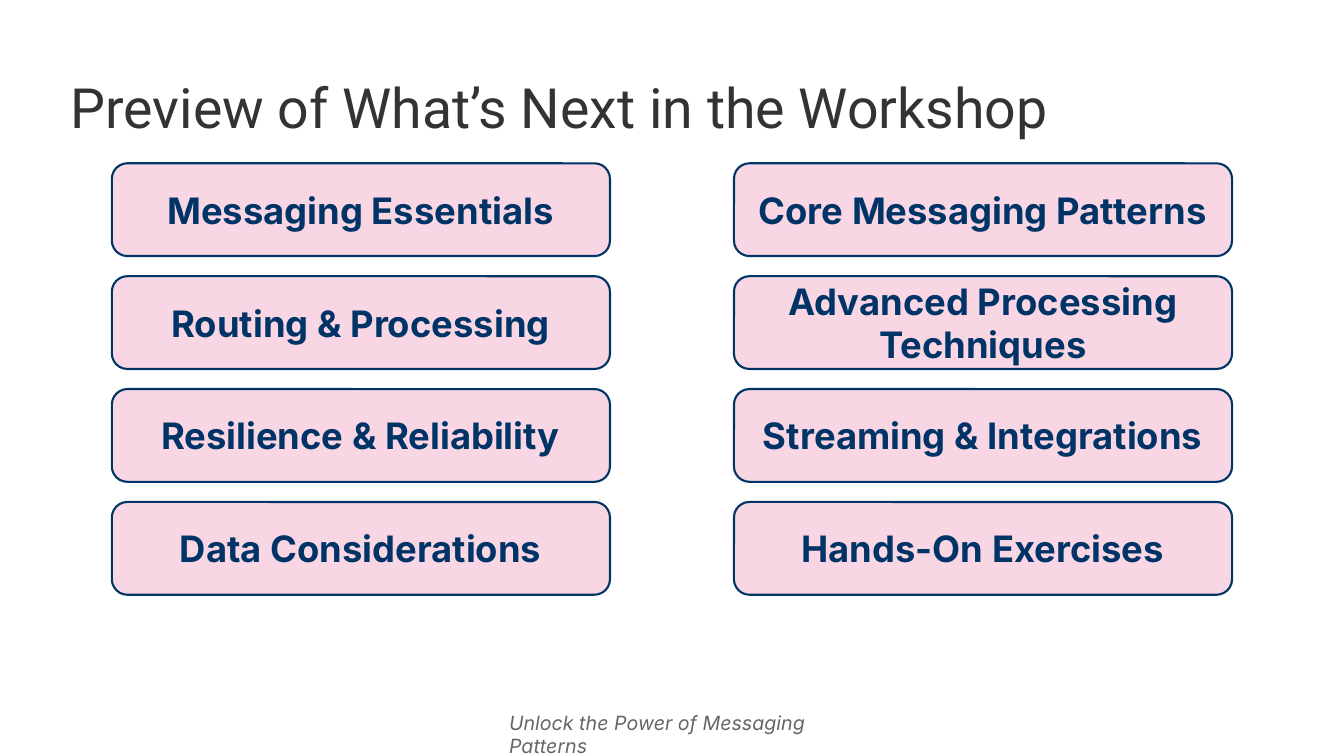
from lxml import etree
from pptx import Presentation
from pptx.dml.color import RGBColor
from pptx.enum.shapes import MSO_SHAPE
from pptx.enum.text import MSO_ANCHOR, MSO_AUTO_SIZE, PP_ALIGN
from pptx.oxml.ns import qn
from pptx.util import Inches, Pt

ROUNDED = MSO_SHAPE.ROUNDED_RECTANGLE
MIDDLE = MSO_ANCHOR.MIDDLE
LEFT, CENTER = PP_ALIGN.LEFT, PP_ALIGN.CENTER
NO_FIT = MSO_AUTO_SIZE.NONE
TITLE_ONLY = 5

COLORS = {"title": "333333", "footer": "666666", "topic": "003366", "card": "DD3377"}
CARD_OPACITY = 20  # percent

TOPICS = [
    ("Messaging Essentials", "Core Messaging Patterns"),
    ("Routing & Processing", "Advanced Processing Techniques"),
    ("Resilience & Reliability", "Streaming & Integrations"),
    ("Data Considerations", "Hands-On Exercises"),
]


def color(name):
    return RGBColor.from_string(COLORS[name])


def write(shape, text, font_name, size, color_name, align=LEFT, bold=False, italic=False):
    frame = shape.text_frame
    frame.word_wrap = True
    frame.auto_size = NO_FIT
    para = frame.paragraphs[0]
    para.text = text
    para.alignment = align
    font = para.font
    font.name, font.size = font_name, Pt(size)
    font.bold, font.italic = bold, italic
    font.color.rgb = color(color_name)
    return frame


# Title across the top
def add_title(page, left, top, width, height):
    title = page.shapes.title
    title.left, title.top = Inches(left), Inches(top)
    title.width, title.height = Inches(width), Inches(height)
    frame = write(title, "Preview of What’s Next in the Workshop", "Roboto", 39.6, "title")
    frame.vertical_anchor = MIDDLE
    frame.paragraphs[0].line_spacing = 0.9


# One topic card with a translucent fill
def add_card(page, text, left, top, width, height):
    card = page.shapes.add_shape(ROUNDED, Inches(left), Inches(top), Inches(width), Inches(height))
    card.shadow.inherit = False
    card.fill.solid()
    card.fill.fore_color.rgb = color("card")
    fill_color = card.fill._xPr.find(qn("a:solidFill"))[0]
    etree.SubElement(fill_color, qn("a:alpha"), val=str(CARD_OPACITY * 1000))
    card.line.color.rgb = color("topic")
    card.line.width = Pt(1.5)
    frame = write(card, text, "Inter", 26, "topic", CENTER, bold=True)
    frame.vertical_anchor = MIDDLE


# Grid of topics in two columns, spread evenly over the box
def add_topics(page, left, top, width, height):
    card_width, card_height = 4.94, 0.92
    column_step = width - card_width
    row_step = (height - card_height) / (len(TOPICS) - 1)
    for row, pair in enumerate(TOPICS):
        for column, topic in enumerate(pair):
            add_card(page, topic, left + column * column_step, top + row * row_step,
                     card_width, card_height)


# Tagline at the bottom
def add_footer(page, left, top, width, height):
    box = page.shapes.add_textbox(Inches(left), Inches(top), Inches(width), Inches(height))
    write(box, "Unlock the Power of Messaging Patterns", "Inter", 14, "footer", italic=True)


def main():
    deck = Presentation()
    deck.slide_width, deck.slide_height = Inches(13.33), Inches(7.5)
    page = deck.slides.add_slide(deck.slide_layouts[TITLE_ONLY])
    add_footer(page, 4.95, 7, 3.42, 0.34)
    add_title(page, 0.6, 0.5, 12.14, 1.2)
    add_topics(page, 1.11, 1.62, 11.11, 4.28)
    deck.save("out.pptx")


if __name__ == "__main__":
    main()
